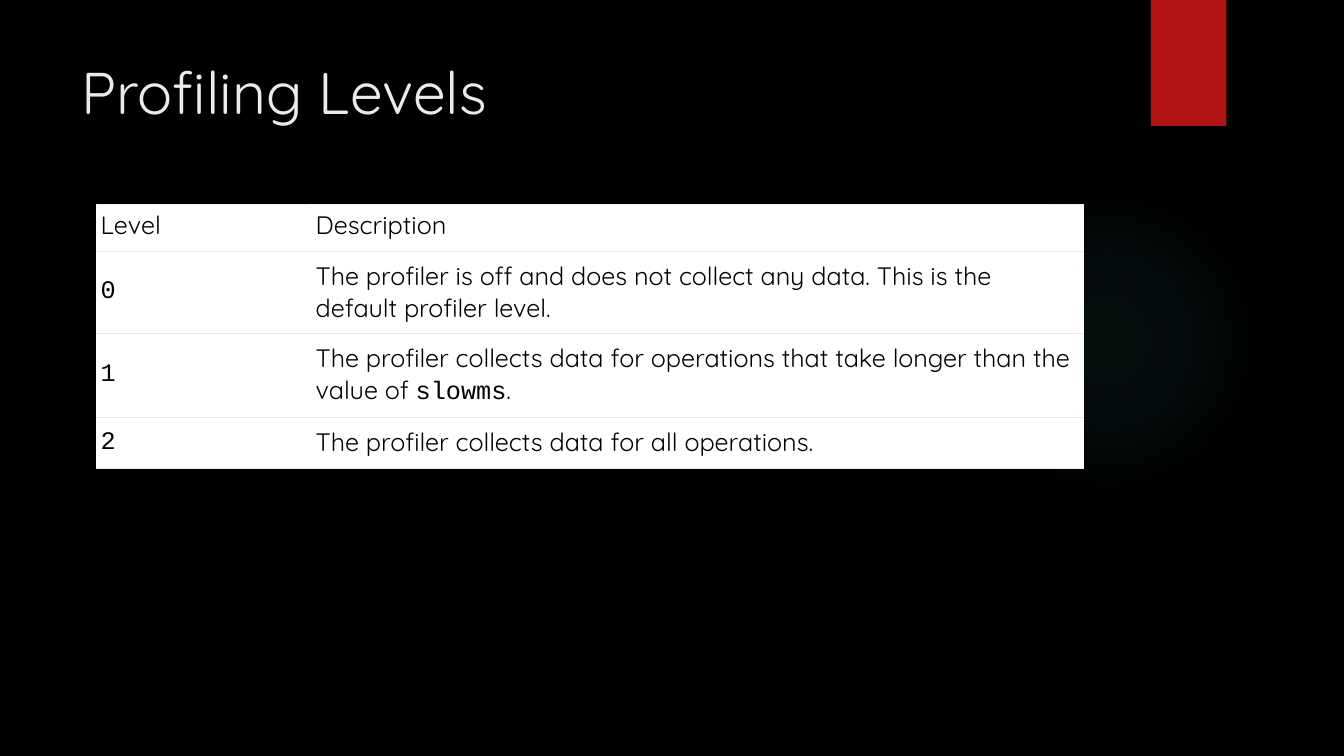
from dataclasses import dataclass

from lxml import etree
from pptx import Presentation, util as u
from pptx.dml.color import RGBColor
from pptx.enum import shapes, text
from pptx.oxml import ns


@dataclass(frozen=True)
class Theme:
    background: str = "000000"
    glow: str = "50B9C1"
    accent: str = "B01513"
    title: str = "EBEBEB"
    ink: str = "000000"
    paper: str = "FFFFFF"
    rule: str = "EBEBED"
    font: str = "Quicksand"
    code_font: str = "Courier New"
    title_size: int = 42
    body_size: int = 18


theme = Theme()
drawing = ns.nsdecls("a")

deck = Presentation()
deck.slide_width = u.Inches(13.333)
deck.slide_height = u.Inches(7.5)
unit = deck.slide_width / 160


def grid(*counts):
    return [u.Emu(round(count * unit)) for count in counts]


def set_font(font, name, size, color):
    font.name = name
    font.size = u.Pt(size)
    font.color.rgb = RGBColor.from_string(color)


page = deck.slides.add_slide(deck.slide_layouts[5])
page.background.fill.solid()
page.background.fill.fore_color.rgb = RGBColor.from_string(theme.background)

glow = page.shapes.add_shape(shapes.MSO_SHAPE.OVAL, *grid(113, 22, 37, 37))
glow.shadow.inherit = False
glow.line.fill.background()
stops = "".join(
    f'<a:gs pos="{place}000"><a:srgbClr val="{theme.glow}">'
    f'<a:alpha val="{alpha}000"/></a:srgbClr></a:gs>'
    for place, alpha in ((0, 7), (36, 6), (69, 0), (100, 0))
)
gradient = etree.fromstring(
    f'<a:gradFill {drawing} rotWithShape="1"><a:gsLst>{stops}</a:gsLst>'
    '<a:path path="circle"><a:fillToRect l="50000" t="50000" r="50000" b="50000"/>'
    "</a:path></a:gradFill>"
)
glow.element.spPr.find(ns.qn("a:prstGeom")).addnext(gradient)

ribbon = page.shapes.add_shape(shapes.MSO_SHAPE.RECTANGLE, *grid(137, 0, 9, 15))
ribbon.shadow.inherit = False
ribbon.fill.solid()
ribbon.fill.fore_color.rgb = RGBColor.from_string(theme.accent)
ribbon.line.fill.background()

title = page.shapes.title
title.left, title.top, title.width, title.height = grid(8.5, 6, 123.5, 18.4)
title.text_frame.text = "Profiling Levels"
title.text_frame.vertical_anchor = text.MSO_ANCHOR.TOP
heading = title.text_frame.paragraphs[0]
heading.alignment = text.PP_ALIGN.LEFT
set_font(heading.font, theme.font, theme.title_size, theme.title)

levels = [
    ("Level", ["Description"]),
    ("0", ["The profiler is off and does not collect any data. This is the default profiler level."]),
    ("1", ["The profiler collects data for operations that take longer than the value of ", "slowms", "."]),
    ("2", ["The profiler collects data for all operations."]),
]
column_widths = grid(25.6, 91.9)
row_heights = grid(5.6, 9.75, 10, 6.1)
left, top = grid(11.5, 24.3)
table = page.shapes.add_table(
    len(levels), 2, left, top, sum(column_widths), sum(row_heights)
).table
table.first_row = False
table.horz_banding = False
for column, width in zip(table.columns, column_widths):
    column.width = width

for row_number, (level, description) in enumerate(levels):
    table.rows[row_number].height = row_heights[row_number]
    is_header = row_number == 0
    for column_number, pieces in enumerate(([level], description)):
        cell = table.cell(row_number, column_number)
        cell.vertical_anchor = text.MSO_ANCHOR.MIDDLE
        cell.margin_left = cell.margin_right = u.Inches(0.04)
        cell.margin_top = u.Inches(0.05 if is_header else 0.09)
        cell.margin_bottom = u.Inches(0.1)
        cell.fill.solid()
        cell.fill.fore_color.rgb = RGBColor.from_string(theme.paper)
        for index, side in enumerate(("lnT", "lnB")):
            border = etree.fromstring(
                f'<a:{side} {drawing} w="{u.Pt(0.6)}"><a:solidFill>'
                f'<a:srgbClr val="{theme.rule}"/></a:solidFill></a:{side}>'
            )
            cell._tc.tcPr.insert(index, border)
        para = cell.text_frame.paragraphs[0]
        is_code = column_number == 0 and not is_header
        set_font(para.font, theme.code_font if is_code else theme.font, theme.body_size, theme.ink)
        for piece in pieces:
            span = para.add_run()
            span.text = piece
            if piece == "slowms":
                span.font.name = theme.code_font

deck.save("out.pptx")
